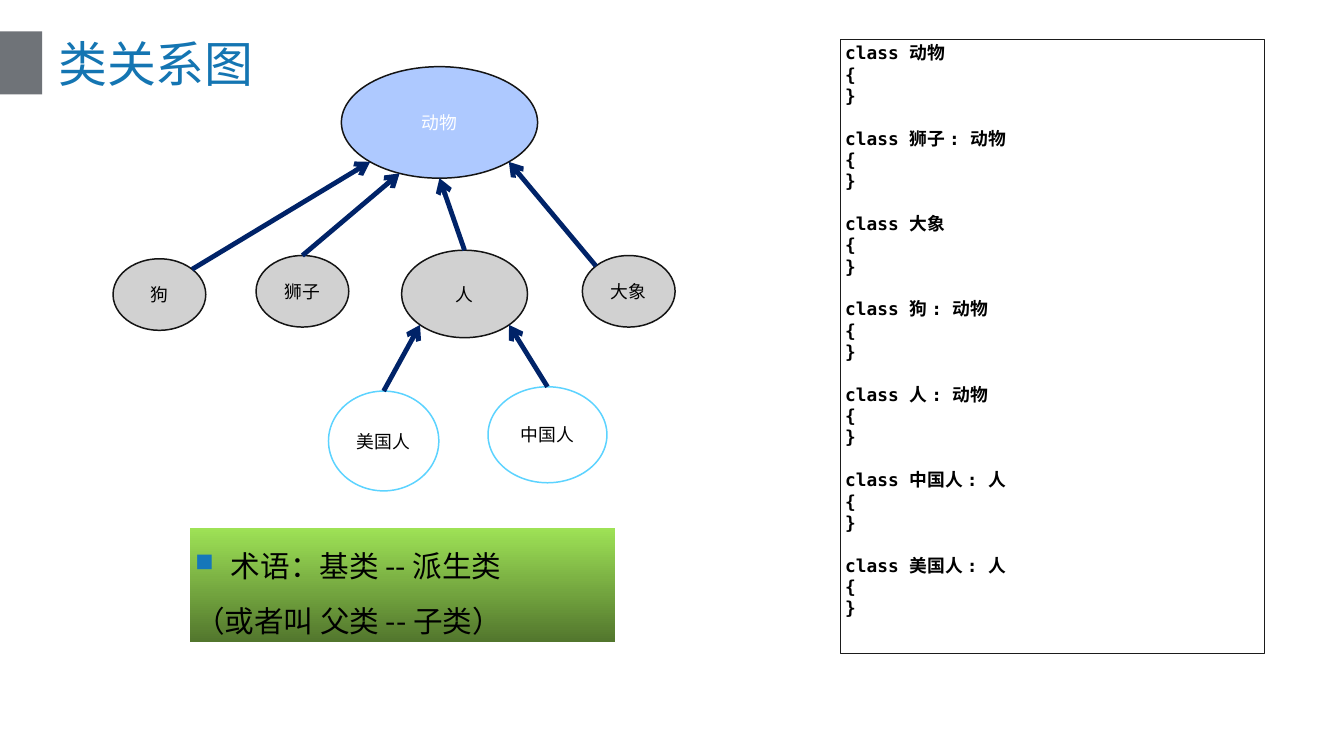
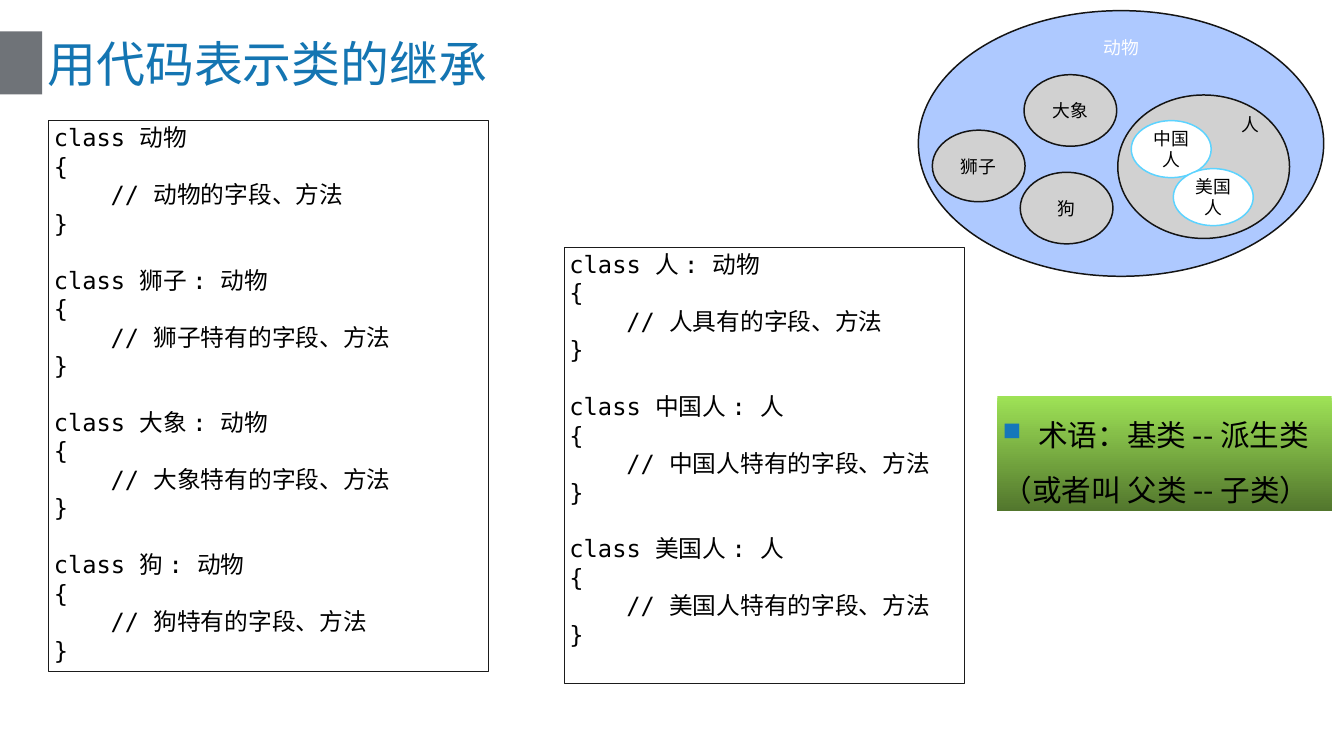
from math import cos, radians, sin

from lxml import etree
from pptx import Presentation, util as u
from pptx.dml.color import RGBColor
from pptx.enum import shapes, text
from pptx.oxml.ns import qn

SANS, MONO = "Noto Sans CJK SC", "DejaVu Sans Mono"
BLACK, WHITE, INK = "000000", "FFFFFF", "141414"
BLUE, NAVY, GREY, FRAME = "1475B2", "002368", "6F7378", "1B1B1B"
GREENS = ("9EE256", "52762D")
OVAL, RECT = shapes.MSO_SHAPE.OVAL, shapes.MSO_SHAPE.RECTANGLE
LEFT, MID = text.PP_ALIGN.LEFT, text.PP_ALIGN.CENTER
TOP = text.MSO_ANCHOR.TOP
LINE = 1.2  # line pitch in font sizes
hue = RGBColor.from_string

# A grid of 100 columns and 100 rows; every box is (left, top, width, height) on it
deck = Presentation()
deck.slide_width, deck.slide_height = u.Inches(25.2), u.Inches(14.17)
COL, ROW = deck.slide_width / 100, deck.slide_height / 100


def draw(home, kind, box, fill=None, line=None, width=2):
    """Add a shape to home, without fill or line unless a colour is given."""
    x, y, w, h = box
    shape = home.add_shape(kind, int(x * COL), int(y * ROW), int(w * COL), int(h * ROW))
    shape.shadow.inherit = False
    if fill:
        shape.fill.solid()
        shape.fill.fore_color.rgb = hue(fill)
    else:
        shape.fill.background()
    if line:
        shape.line.color.rgb = hue(line)
        shape.line.width = u.Pt(width)
    else:
        shape.line.fill.background()
    return shape


def write(shape, lines, size, color=BLACK, font=SANS, align=MID, lead=LINE, bold=False):
    """Give a shape one paragraph per line, all in one style."""
    frame = shape.text_frame
    frame.text = "\n".join(lines)
    frame.word_wrap = True
    frame.vertical_anchor = text.MSO_ANCHOR.MIDDLE
    for par in frame.paragraphs:
        par.alignment = align
        par.line_spacing = u.Pt(size * lead)
        par.font.size, par.font.name, par.font.bold = u.Pt(size), font, bold
        par.font.color.rgb = hue(color)
    for style in shape.element.iter(qn("a:defRPr")):
        etree.SubElement(style, qn("a:ea"), typeface=SANS)
    return frame


# Fill, outline and text colour of each class oval
KIND = ("D1D1D1", INK, BLACK)
PEOPLE = (WHITE, "5CD3FF", BLACK)
LOOKS = {"动物": ("AEC9FF", INK, WHITE), "狮子": KIND, "狗": KIND, "大象": KIND,
         "人": KIND, "中国人": PEOPLE, "美国人": PEOPLE}
SMALL, TINY = (6.9, 9.46), (5.95, 7.55)

# Where an arrow meets an oval, in degrees clockwise from its right end
N, NE, NW = -90, -45, -135
S, SE, SW, SSW = 90, 45, 135, 114

# Each listing: box, text size, bold, then its classes as (head, comment)
tree = {
    "title": "类关系图", "left": 3.93, "terms": (14.13, 69.8, 31.63, 15.17),
    "code": [((62.5, 5.22, 31.55, 81.23), 24, True,
              [("动物", ""), ("狮子 : 动物", ""), ("大象", ""), ("狗 : 动物", ""),
               ("人 : 动物", ""), ("中国人 : 人", ""), ("美国人 : 人", "")])],
    "ovals": {"动物": (25.4, 8.82, 14.6, 14.75), "狮子": (19.05, 33.8, *SMALL),
              "狗": (8.41, 34.23, *SMALL), "大象": (43.33, 33.8, *SMALL),
              "人": (29.88, 33.1, 9.37, 11.57), "中国人": (36.31, 51.16, 8.85, 12.7),
              "美国人": (24.44, 51.73, 8.21, 13.2)},
    "labels": {},
    "arrows": [("狮子", N, "动物", SSW), ("狗", NE, "动物", SW), ("人", N, "动物", S),
               ("大象", NW, "动物", SE), ("美国人", N, "人", SW), ("中国人", N, "人", SE)],
}
nest = {
    "title": "用代码表示类的继承", "left": 3.13, "terms": (74.21, 52.43, 24.88, 15.17),
    "code": [((3.61, 15.95, 32.74, 72.9), 32, False,
              [("动物", "动物的"), ("狮子 : 动物", "狮子特有的"),
               ("大象 : 动物", "大象特有的"), ("狗 : 动物", "狗特有的")]),
             ((41.98, 32.67, 29.8, 57.73), 32, False,
              [("人 : 动物", "人具有的"), ("中国人 : 人", "中国人特有的"),
               ("美国人 : 人", "美国人特有的")])],
    "ovals": {"动物": (68.33, 1.41, 30.16, 35.14), "狮子": (69.37, 17.22, *SMALL),
              "狗": (75.91, 22.79, *SMALL), "大象": (76.19, 9.88, *SMALL),
              "人": (83.17, 12.56, 12.78, 18.98), "中国人": (84.17, 15.95, *TINY),
              "美国人": (87.3, 22.3, *TINY)},
    "labels": {"动物": (80.28, 4.09, 6.35, 4.23), "人": (91.07, 14.33, 3.97, 4.23)},
    "arrows": [],
}

for page in (tree, nest):
    slide = deck.slides.add_slide(deck.slide_layouts[5])
    home = slide.shapes

    # Bar and title
    draw(home, RECT, (0, 4.16, 3.13, 8.33), GREY)
    title = home.title
    title.left, title.top = int(page["left"] * COL), int(4.1 * ROW)
    title.width, title.height = int(93 * COL), int(8.47 * ROW)
    write(title, [page["title"]], 66, BLUE, align=LEFT)

    # Code listings: a gap before each class, comments indented by four letters
    for box, size, bold, classes in page["code"]:
        lines = []
        for head, note in classes:
            body = [f"// {note}字段、方法"] if note else []
            lines += [f"class {head}", "{", *body, "}"]
        panel = draw(home, RECT, box, line=FRAME, width=1.25)
        frame = write(panel, lines, size, font=MONO, align=LEFT, bold=bold)
        frame.vertical_anchor = TOP
        for par, props in zip(frame.paragraphs, panel.element.iter(qn("a:pPr"))):
            if par.text.startswith("//"):
                props.set("marL", str(u.Pt(size * 2.4)))
            elif par.text.startswith("class") and par.text != lines[0]:
                par.space_before = u.Pt(size * LINE)

    # Class ovals; one that holds others has its label in a box of its own
    group = home.add_group_shape().shapes
    for name, box in page["ovals"].items():
        fill, line, color = LOOKS[name]
        oval = draw(group, OVAL, box, fill, line)
        if name not in page["labels"]:
            write(oval, [name], 24, color)
    for name, box in page["labels"].items():
        fill, line, color = LOOKS[name]
        write(draw(group, RECT, box), [name], 24, color)

    # Arrows from derived class to base class
    for child, start, base, stop in page["arrows"]:
        ends = []
        for name, angle in ((child, start), (base, stop)):
            x, y, w, h = page["ovals"][name]
            turn = radians(angle)
            ends += [int((x + w / 2 * (1 + cos(turn))) * COL),
                     int((y + h / 2 * (1 + sin(turn))) * ROW)]
        arrow = home.add_connector(shapes.MSO_CONNECTOR.STRAIGHT, *ends)
        arrow.line.color.rgb = hue(NAVY)
        arrow.line.width = u.Pt(6.5)
        stroke = arrow.element.find(".//" + qn("a:ln"))
        etree.SubElement(stroke, qn("a:tailEnd"), type="arrow")
        etree.SubElement(arrow.element.spPr, qn("a:effectLst"))

    # Terms on a green gradient, running from top to bottom
    terms = draw(home, RECT, page["terms"])
    terms.fill.gradient()
    terms.fill.gradient_angle = 270
    for stop, color, place in zip(terms.fill.gradient_stops, GREENS, (0, 1)):
        stop.color.rgb, stop.position = hue(color), place
    lines = ["术语：基类 -- 派生类", "（或者叫 父类 -- 子类）"]
    frame = write(terms, lines, 40, align=LEFT, lead=1.5 * LINE)
    frame.vertical_anchor = TOP
    for par in frame.paragraphs:
        par.space_before = u.Pt(2.5)

    # Square bullet on the first term, with a hanging indent
    props = terms.element.find(".//" + qn("a:pPr"))
    props.set("marL", str(u.Inches(0.67)))
    props.set("indent", str(u.Inches(-0.67)))
    tint = etree.Element(qn("a:buClr"))
    etree.SubElement(tint, qn("a:srgbClr"), val="1577BA")
    scale = etree.Element(qn("a:buSzPct"), val="85000")
    mark = etree.Element(qn("a:buChar"), char="■")
    style = props.find(qn("a:defRPr"))
    for part in (tint, scale, mark):
        style.addprevious(part)

deck.save("out.pptx")
